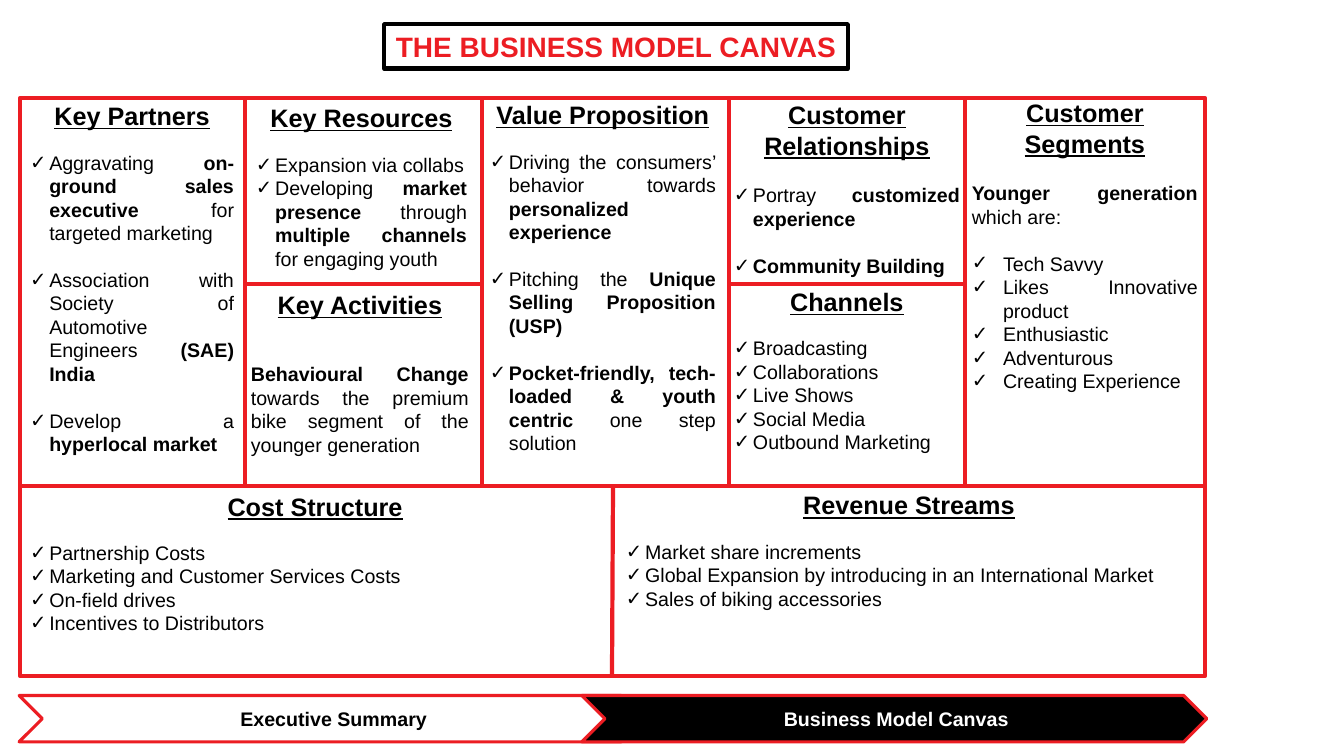
"""Build the business model canvas slide."""
from lxml import etree
from pptx import Presentation
from pptx.dml.color import RGBColor
from pptx.enum.shapes import MSO_CONNECTOR, MSO_SHAPE
from pptx.enum.text import MSO_ANCHOR, MSO_AUTO_SIZE, PP_ALIGN
from pptx.oxml.ns import qn
from pptx.util import Inches, Pt

RECTANGLE, CHEVRON = MSO_SHAPE.RECTANGLE, MSO_SHAPE.CHEVRON
STRAIGHT = MSO_CONNECTOR.STRAIGHT
MIDDLE, TOP = MSO_ANCHOR.MIDDLE, MSO_ANCHOR.TOP
CENTER, JUSTIFY = PP_ALIGN.CENTER, PP_ALIGN.JUSTIFY
GROW = MSO_AUTO_SIZE.SHAPE_TO_FIT_TEXT

COLORS = {"red": "EC1D23", "black": "000000", "white": "FFFFFF"}
FONT = "Arial"
HEADING_SIZE, BODY_SIZE = 18, 14
SMALL_GAP, LINE_GAP = 14, 16.5
CHECK_INDENT, WIDE_INDENT = 0.19, 0.31

TITLE = "THE BUSINESS MODEL CANVAS"
STEPS = [("Executive Summary", None, "black"), ("Business Model Canvas", "black", "white")]

# Each item is (text with **bold** parts, check-mark indent, space before).
SECTIONS = [
    ("Key Partners", (0.2, 0.95, 2.22, 3.67), [
        ("Aggravating **on-ground sales executive **for targeted marketing", CHECK_INDENT, SMALL_GAP),
        ("Association with Society of Automotive Engineers **(SAE) India**", CHECK_INDENT, LINE_GAP),
        ("Develop a **hyperlocal market**", CHECK_INDENT, LINE_GAP),
    ]),
    ("Key Resources", (2.44, 0.97, 2.29, 1.78), [
        ("Expansion via collabs", CHECK_INDENT, SMALL_GAP),
        ("Developing **market presence **through **multiple channels **for engaging youth", CHECK_INDENT, 0),
    ]),
    ("Key Activities", (2.39, 2.82, 2.36, 1.78), [
        ("**Behavioural Change **towards the premium bike segment of the younger generation",
         0, SMALL_GAP + LINE_GAP),
    ]),
    ("Value Proposition", (4.76, 0.94, 2.44, 3.67), [
        ("Driving the consumers’ behavior towards **personalized experience**", CHECK_INDENT, SMALL_GAP),
        ("Pitching the **Unique Selling Proposition (USP)**", CHECK_INDENT, LINE_GAP),
        ("**Pocket-friendly, tech-loaded & youth centric **one step solution", CHECK_INDENT, LINE_GAP),
    ]),
    ("Customer Relationships", (7.18, 0.94, 2.44, 1.88), [
        ("Portray **customized experience**", CHECK_INDENT, LINE_GAP),
        ("**Community Building**", CHECK_INDENT, LINE_GAP),
    ]),
    ("Channels", (7.18, 2.79, 2.44, 1.78), [
        ("Broadcasting", CHECK_INDENT, SMALL_GAP),
        ("Collaborations", CHECK_INDENT, 0),
        ("Live Shows", CHECK_INDENT, 0),
        ("Social Media", CHECK_INDENT, 0),
        ("Outbound Marketing", CHECK_INDENT, 0),
    ]),
    ("Customer Segments", (9.54, 0.92, 2.44, 3.06), [
        ("**Younger generation** which are:", 0, LINE_GAP),
        ("Tech Savvy", WIDE_INDENT, LINE_GAP),
        ("Likes Innovative product", WIDE_INDENT, 0),
        ("Enthusiastic", WIDE_INDENT, 0),
        ("Adventurous", WIDE_INDENT, 0),
        ("Creating Experience", WIDE_INDENT, 0),
    ]),
    ("Cost Structure", (0.2, 4.82, 5.85, 1.55), [
        ("Partnership Costs", CHECK_INDENT, SMALL_GAP),
        ("Marketing and Customer Services Costs", CHECK_INDENT, 0),
        ("On-field drives", CHECK_INDENT, 0),
        ("Incentives to Distributors", CHECK_INDENT, 0),
    ]),
    ("Revenue Streams", (6.11, 4.81, 5.81, 1.31), [
        ("Market share increments", CHECK_INDENT, SMALL_GAP),
        ("Global Expansion by introducing in an International Market", CHECK_INDENT, 0),
        ("Sales of biking accessories", CHECK_INDENT, 0),
    ]),
]

FRAME = (0.2, 0.97, 11.75, 5.74)
FRAME_TOP, ROW_MIDDLE, ROW_BOTTOM = 0.97, 2.82, 4.82
COLUMNS = [2.43, 4.78, 7.23, 9.57]
DIVIDERS = [(0.18, ROW_BOTTOM, 11.96, ROW_BOTTOM), (6.08, ROW_BOTTOM, 6.07, 6.72)]
DIVIDERS += [(x, ROW_BOTTOM, x, FRAME_TOP) for x in COLUMNS]
DIVIDERS += [(COLUMNS[i], ROW_MIDDLE, COLUMNS[i + 1], ROW_MIDDLE) for i in (0, 2)]


def color(name):
    return RGBColor.from_string(COLORS[name])


def add_box(slide, kind, place, line, width, fill=None):
    shape = slide.shapes.add_shape(kind, *map(Inches, place))
    shape.shadow.inherit = False
    shape.line.color.rgb = color(line)
    shape.line.width = Pt(width)
    if fill:
        shape.fill.solid()
        shape.fill.fore_color.rgb = color(fill)
    else:
        shape.fill.background()
    return shape


def add_divider(slide, ends):
    connector = slide.shapes.add_connector(STRAIGHT, *map(Inches, ends))
    connector.line.color.rgb = color("red")
    connector.line.width = Pt(3)
    etree.SubElement(connector._element.spPr, qn("a:effectLst"))


def write(paragraph, text, size=BODY_SIZE, ink="black", bold=False, underline=False,
          align=JUSTIFY, before=0, indent=0):
    if indent:
        properties = paragraph._p.get_or_add_pPr()
        properties.set("marL", str(Inches(indent)))
        properties.set("indent", str(-Inches(indent)))
        etree.SubElement(properties, qn("a:buFont"), typeface=FONT)
        etree.SubElement(properties, qn("a:buChar"), char="✓")
    paragraph.alignment = align
    if before:
        paragraph.space_before = Pt(before)
    for index, part in enumerate(text.split("**")):
        if part:
            run = paragraph.add_run()
            run.text = part
            run.font.name = FONT
            run.font.size = Pt(size)
            run.font.bold = bold or index % 2 == 1
            run.font.underline = underline
            run.font.color.rgb = color(ink)


def add_section(slide, heading, place, items):
    frame = slide.shapes.add_textbox(*map(Inches, place)).text_frame
    frame.word_wrap = True
    frame.auto_size = GROW
    frame.vertical_anchor = TOP
    write(frame.paragraphs[0], heading, size=HEADING_SIZE, bold=True, underline=True, align=CENTER)
    for text, indent, before in items:
        write(frame.add_paragraph(), text, indent=indent, before=before)


def main():
    presentation = Presentation()
    presentation.slide_width, presentation.slide_height = Inches(13.33), Inches(7.5)
    slide = presentation.slides.add_slide(presentation.slide_layouts[6])

    for index, (label, fill, ink) in enumerate(STEPS):
        step = add_box(slide, CHEVRON, (0.19 + 5.58 * index, 6.9, 6.2, 0.46), "red", 2.25, fill)
        frame = step.text_frame
        frame.vertical_anchor = MIDDLE
        frame.margin_left = Inches(0.06)
        frame.margin_right = frame.margin_top = frame.margin_bottom = Inches(0.02)
        write(frame.paragraphs[0], label, ink=ink, bold=True, align=CENTER)

    title = add_box(slide, RECTANGLE, (3.81, 0.24, 4.6, 0.44), "black", 3)
    title.text_frame.word_wrap = True
    title.text_frame.vertical_anchor = MIDDLE
    write(title.text_frame.paragraphs[0], TITLE, size=20, ink="red", bold=True, align=CENTER)

    add_box(slide, RECTANGLE, FRAME, "red", 3)
    for ends in DIVIDERS:
        add_divider(slide, ends)
    for section in SECTIONS:
        add_section(slide, *section)
    presentation.save("out.pptx")


if __name__ == "__main__":
    main()
